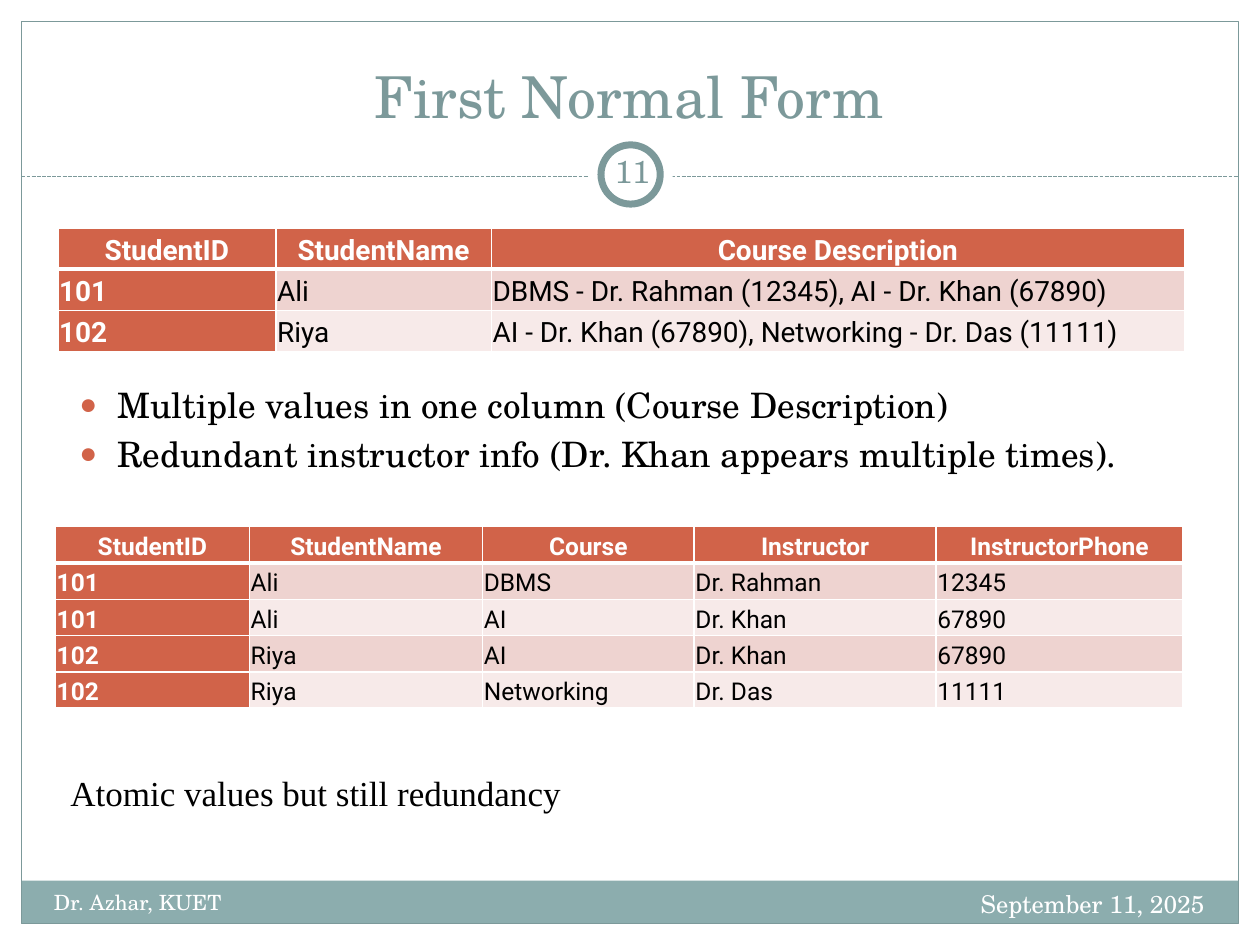
from dataclasses import dataclass

from lxml import etree
from pptx import Presentation
from pptx import util as u
from pptx.dml.color import RGBColor
from pptx.enum import dml, shapes, text
from pptx.oxml import ns

COLUMNS, ROWS = 100, 75
SERIF, SANS, ROMAN = "TeX Gyre Schola", "Roboto", "Times New Roman"
WHITE = RGBColor(0xFF, 0xFF, 0xFF)
BLACK = RGBColor(0, 0, 0)
SAGE = RGBColor(0x7C, 0x99, 0x9A)
NUMBER_SAGE = RGBColor(0x7B, 0x98, 0x99)
BAND_SAGE = RGBColor(0x8C, 0xAD, 0xAE)
RUST = RGBColor(0xD1, 0x63, 0x49)
PINK = RGBColor(0xEE, 0xD3, 0xD0)
PALE_PINK = RGBColor(0xF7, 0xEA, 0xE9)

COURSES = [
    ("StudentID", "StudentName", "Course Description"),
    ("101", "Ali", "DBMS - Dr. Rahman (12345), AI - Dr. Khan (67890)"),
    ("102", "Riya", "AI - Dr. Khan (67890), Networking - Dr. Das (11111)"),
]
ATOMIC = [
    ("StudentID", "StudentName", "Course", "Instructor", "InstructorPhone"),
    ("101", "Ali", "DBMS", "Dr. Rahman", "12345"),
    ("101", "Ali", "AI", "Dr. Khan", "67890"),
    ("102", "Riya", "AI", "Dr. Khan", "67890"),
    ("102", "Riya", "Networking", "Dr. Das", "11111"),
]
PROBLEMS = [
    "Multiple values in one column (Course Description)",
    "Redundant instructor info (Dr. Khan appears multiple times).",
]


@dataclass
class Box:
    """An area of the slide in grid columns and rows."""

    left: float
    top: float
    width: float
    height: float

    def area(self, left, top, width, height):
        """Return an area offset from this one's top left corner."""
        return Box(self.left + left, self.top + top, width, height)

    def lengths(self, presentation):
        """Return left, top, width and height as slide lengths."""
        column = presentation.slide_width / COLUMNS
        row = presentation.slide_height / ROWS
        return (u.Emu(round(self.left * column)), u.Emu(round(self.top * row)),
                u.Emu(round(self.width * column)), u.Emu(round(self.height * row)))


def add_run(paragraph, words, size, color, font=SERIF, bold=False):
    """Add one formatted run to a paragraph."""
    run = paragraph.add_run()
    run.text = words
    run.font.size, run.font.name, run.font.bold = u.Pt(size), font, bold
    run.font.color.rgb = color


def add_panel(presentation, slide, box, fill=None, line=None, weight=0.75,
              kind=shapes.MSO_SHAPE.RECTANGLE):
    """Add a flat preset shape."""
    shape = slide.shapes.add_shape(kind, *box.lengths(presentation))
    shape.shadow.inherit = False
    if fill is None:
        shape.fill.background()
    else:
        shape.fill.solid()
        shape.fill.fore_color.rgb = fill
    if line is None:
        shape.line.fill.background()
    else:
        shape.line.color.rgb = line
        shape.line.width = u.Pt(weight)


def add_label(presentation, slide, box, words, size, color, font=SERIF,
              align=text.PP_ALIGN.LEFT, wrap=True):
    """Add a one-line text box and return its frame."""
    frame = slide.shapes.add_textbox(*box.lengths(presentation)).text_frame
    frame.word_wrap = wrap
    paragraph = frame.paragraphs[0]
    paragraph.alignment = align
    add_run(paragraph, words, size, color, font)
    return frame


def add_frame(presentation, slide, box):
    """Add the white margins, footer band, outline and dashed rule."""
    margin = 1.7
    inner = box.area(margin, margin, box.width - 2 * margin, box.height - 2 * margin)
    for edge in (box.area(0, box.height - margin, box.width, margin),
                 box.area(0, 0, box.width, 15.2),
                 box.area(0, 0, margin, box.height),
                 box.area(box.width - margin, 0, margin, box.height)):
        add_panel(presentation, slide, edge, WHITE)
    band = inner.area(0, inner.height - 3.4, inner.width, 3.4)
    add_panel(presentation, slide, band, BAND_SAGE)
    add_panel(presentation, slide, inner, line=SAGE)

    left, top, width, _ = inner.area(0, 12.3, inner.width, 0).lengths(presentation)
    rule = slide.shapes.add_connector(
        shapes.MSO_CONNECTOR.STRAIGHT, left, top, left + width, top)
    rule.line.color.rgb = SAGE
    rule.line.width = u.Pt(0.75)
    rule.line.dash_style = dml.MSO_LINE.SQUARE_DOT
    etree.SubElement(rule._element.spPr, ns.qn("a:effectLst"))


def add_badge(presentation, slide, box):
    """Add the ringed slide number."""
    oval = shapes.MSO_SHAPE.OVAL
    add_panel(presentation, slide, box, WHITE, kind=oval)
    add_panel(presentation, slide, box.area(1, 1, box.width - 2, box.height - 2),
              WHITE, SAGE, 4, oval)
    frame = add_label(presentation, slide, box.area(1, 0.7, 5, 4.8), "11", 18,
                      NUMBER_SAGE, align=text.PP_ALIGN.CENTER)
    frame.vertical_anchor = text.MSO_ANCHOR.MIDDLE
    frame.margin_left = frame.margin_right = u.Inches(0.05)


def place_placeholder(presentation, slide, index, box):
    """Move a placeholder into its box above the frame and return its text."""
    shape = slide.placeholders[index]
    shape.left, shape.top, shape.width, shape.height = box.lengths(presentation)
    slide.shapes._spTree.append(shape._element)
    shape.text_frame.auto_size = text.MSO_AUTO_SIZE.NONE
    return shape.text_frame


def fill_title(presentation, slide, box):
    """Write the slide title."""
    frame = place_placeholder(presentation, slide, 0, box)
    frame.vertical_anchor = text.MSO_ANCHOR.BOTTOM
    frame.paragraphs[0].alignment = text.PP_ALIGN.CENTER
    add_run(frame.paragraphs[0], "First Normal Form", 33, SAGE)


def fill_problems(presentation, slide, box):
    """Write the bulleted list of problems."""
    frame = place_placeholder(presentation, slide, 1, box)
    for index, words in enumerate(PROBLEMS):
        paragraph = frame.add_paragraph() if index else frame.paragraphs[0]
        properties = paragraph._p.get_or_add_pPr()
        properties.set("marL", str(u.Inches(0.3)))
        properties.set("indent", str(-u.Inches(0.3)))
        color = etree.SubElement(properties, ns.qn("a:buClr"))
        etree.SubElement(color, ns.qn("a:srgbClr"), val=str(RUST))
        etree.SubElement(properties, ns.qn("a:buSzPct"), val="85000")
        etree.SubElement(properties, ns.qn("a:buChar"), char="●")
        paragraph.space_before = u.Pt(4 if index else 0)
        add_run(paragraph, words, 20, BLACK)


def add_borders(cell, row):
    """Draw white cell edges, thicker under the header row."""
    weights = {"L": 1, "R": 1, "T": 3 if row == 1 else 1, "B": 3 if row == 0 else 1}
    for side, weight in weights.items():
        line = etree.SubElement(cell._tc.get_or_add_tcPr(), ns.qn(f"a:ln{side}"),
                                w=str(u.Pt(weight)))
        fill = etree.SubElement(line, ns.qn("a:solidFill"))
        etree.SubElement(fill, ns.qn("a:srgbClr"), val=str(WHITE))


def add_records(presentation, slide, box, records, widths, size):
    """Add a banded table with a strong header row and first column."""
    table = slide.shapes.add_table(
        len(records), len(widths), *box.lengths(presentation)).table
    for column, width in zip(table.columns, widths):
        column.width = u.Emu(round(width * presentation.slide_width / COLUMNS))
    for row, record in enumerate(records):
        for column, words in enumerate(record):
            cell = table.cell(row, column)
            strong = row == 0 or column == 0
            add_borders(cell, row)
            cell.fill.solid()
            cell.fill.fore_color.rgb = RUST if strong else PINK if row % 2 else PALE_PINK
            cell.vertical_anchor = text.MSO_ANCHOR.MIDDLE
            cell.margin_left = cell.margin_right = u.Inches(0.01)
            cell.margin_top = cell.margin_bottom = u.Inches(0.01)
            paragraph = cell.text_frame.paragraphs[0]
            paragraph.alignment = text.PP_ALIGN.LEFT if row else text.PP_ALIGN.CENTER
            paragraph.line_spacing = 1.15
            add_run(paragraph, words, size, WHITE if strong else BLACK, SANS, strong)


def add_footer(presentation, slide, box):
    """Add the author on the left and the date on the right."""
    add_label(presentation, slide, box.area(box.width - 33.3, 0, 33.3, box.height),
              "September 11, 2025", 14, WHITE, align=text.PP_ALIGN.RIGHT)
    add_label(presentation, slide, box.area(0, 0, 39.2, box.height),
              "Dr. Azhar, KUET", 12, WHITE)


def main():
    """Build the slide and save it."""
    presentation = Presentation()
    presentation.slide_width, presentation.slide_height = u.Inches(10), u.Inches(7.5)
    slide = presentation.slides.add_slide(presentation.slide_layouts[1])
    page = Box(0, 0, COLUMNS, ROWS)
    add_frame(presentation, slide, page)
    fill_title(presentation, slide, page.area(3.3, 2.5, 93.3, 8.3))
    fill_problems(presentation, slide, page.area(5.3, 29.9, 93, 9.9))
    add_footer(presentation, slide, page.area(3.3, 70.1, 93.3, 4))
    add_badge(presentation, slide, page.area(46.7, 10.5, 6.7, 6.7))
    add_records(presentation, slide, page.area(4.6, 18.1, 89.4, 9.5), COURSES,
                (17.3, 17.1, 55), 16)
    add_records(presentation, slide, page.area(4.4, 41.8, 89.5, 14.1), ATOMIC,
                (15.4, 18.5, 16.8, 19.2, 19.6), 14)
    conclusion = add_label(presentation, slide, page.area(4.6, 60.7, 41.2, 4.4),
                           "Atomic values but still redundancy", 20, BLACK, ROMAN,
                           wrap=False)
    conclusion.auto_size = text.MSO_AUTO_SIZE.SHAPE_TO_FIT_TEXT
    presentation.save("out.pptx")


if __name__ == "__main__":
    main()
